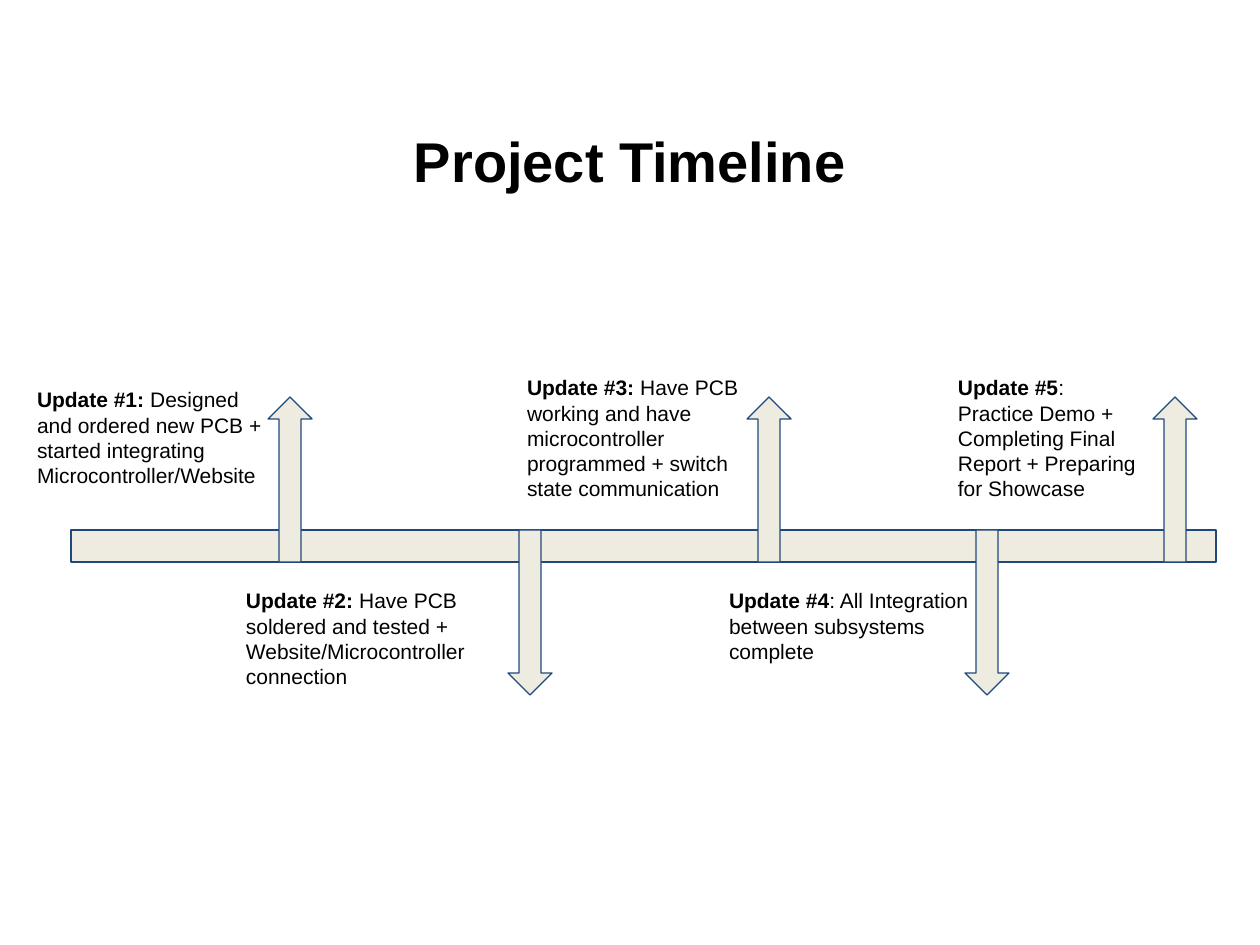
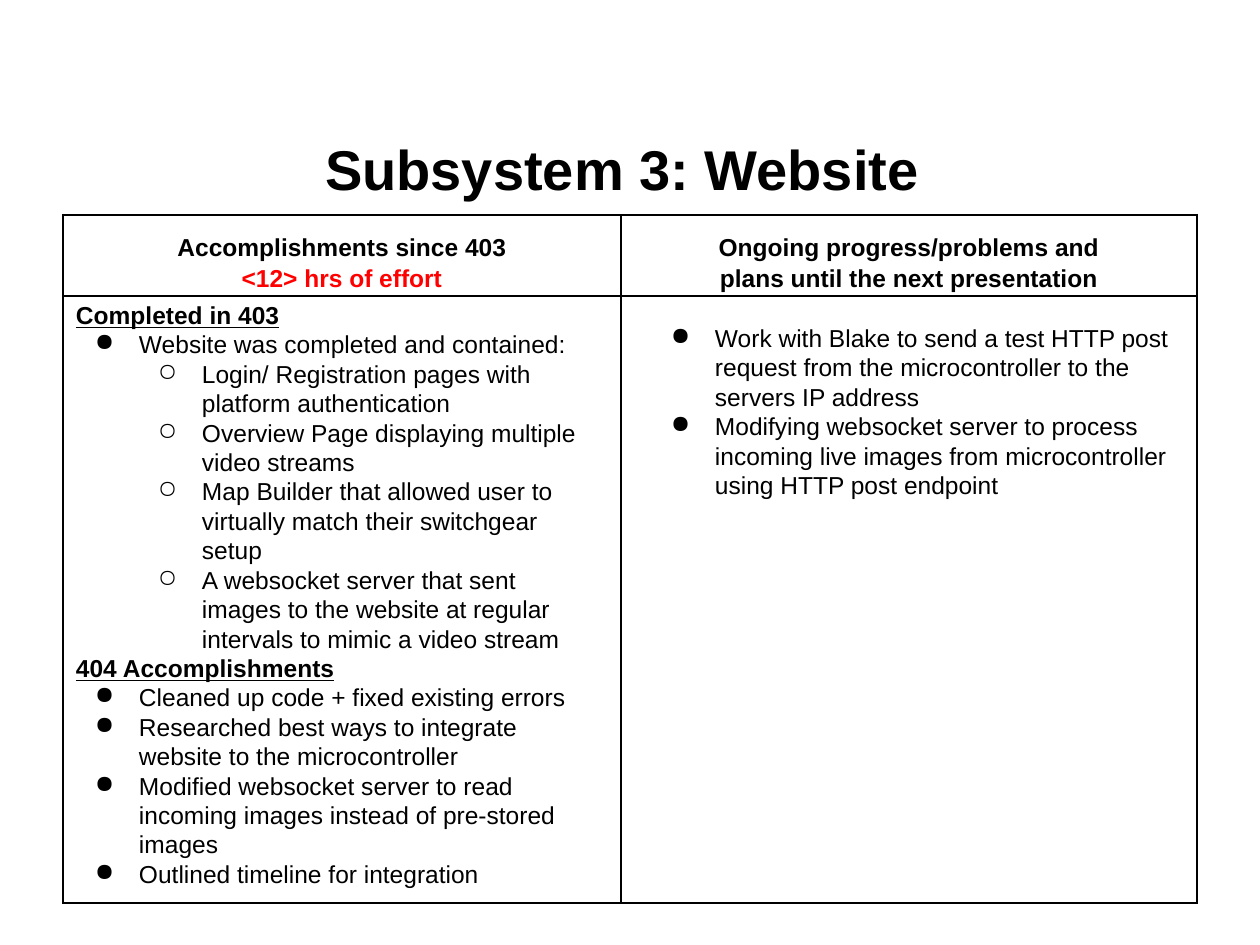
"""Build a project timeline slide and a subsystem status slide."""
from dataclasses import dataclass

from lxml import etree
from pptx import Presentation
from pptx import util as u
from pptx.dml.color import RGBColor
from pptx.enum import shapes, text
from pptx.oxml.ns import qn


@dataclass(frozen=True)
class Theme:
    font: str = "Arial"
    ink: str = "000000"
    effort: str = "FF0000"
    fill: str = "EEECE1"
    outline: str = "1F497D"
    title: int = 32
    update: int = 12
    status: int = 14
    outline_width: float = 0.75
    border_width: float = 1.5


THEME = Theme()
SCALE = 914400 / 126
SLIDE = (1260, 945)
TITLE_BOX = (63, 1134, 111)
TITLE_INSETS = (13, 6)
TEXT_INSETS = (13, 13)
CELL_INSETS = (4, 3)
BULLETS = {1: "●", 2: "○"}
LEVEL_STEP, HANG = 63, 44

TIMELINE_TITLE = ("Project Timeline", 105)
BAR = (71, 530, 1145, 32)
ARROW = (44, 165)
UPDATES = [
    {"arrow": 268, "up": True, "box": (24, 374, 260, 155), "text": [
        [("Update #1: ", "b"),
         ("Designed and ordered new PCB + started integrating Microcontroller/Website", "")]]},
    {"arrow": 508, "up": False, "box": (233, 575, 304, 155), "text": [
        [("Update #2: ", "b"),
         ("Have PCB soldered and tested + Website/Microcontroller connection", "")]]},
    {"arrow": 747, "up": True, "box": (514, 362, 260, 155), "text": [
        [("Update #3: ", "b"),
         ("Have PCB working and have microcontroller programmed + switch state communication", "")]]},
    {"arrow": 965, "up": False, "box": (716, 575, 294, 155), "text": [
        [("Update #4", "b"), (": All Integration between subsystems complete", "")]]},
    {"arrow": 1153, "up": True, "box": (945, 362, 226, 155), "text": [
        [("Update #5", "b"), (":", "")],
        [("Practice Demo + Completing Final Report + Preparing for Showcase", "")]]},
]

WEBSITE_TITLE = ("Subsystem 3: Website ", 113)
GRID = {"origin": (63, 215), "columns": (558, 576), "rows": (81, 607)}
HEADINGS = [
    [("Accomplishments since 403", "b"), ("<12> hrs of effort", "be")],
    [("Ongoing progress/problems and", "b"), ("plans until the next presentation", "b")],
]
STATUS = [
    ((63, 287, 536, 616), [
        (0, "Completed in 403"),
        (1, "Website was completed and contained:"),
        (2, "Login/ Registration pages with platform authentication"),
        (2, "Overview Page displaying multiple video streams"),
        (2, "Map Builder that allowed user to virtually match their switchgear setup"),
        (2, "A websocket server that sent images to the website at regular intervals "
            "to mimic a video stream"),
        (0, "404 Accomplishments"),
        (1, "Cleaned up code + fixed existing errors"),
        (1, "Researched best ways to integrate website to the microcontroller"),
        (1, "Modified websocket server to read incoming images instead of pre-stored images"),
        (1, "Outlined timeline for integration"),
    ]),
    ((639, 310, 546, 581), [
        (1, "Work with Blake to send a test HTTP post request from the microcontroller "
            "to the servers IP address"),
        (1, "Modifying websocket server to process incoming live images from "
            "microcontroller using HTTP post endpoint"),
    ]),
]


def px(*lengths):
    return [u.Emu(round(length * SCALE)) for length in lengths]


def inset(holder, insets):
    across, down = px(*insets)
    holder.margin_left = holder.margin_right = across
    holder.margin_top = holder.margin_bottom = down


def write(paragraph, words, flags, size):
    run = paragraph.add_run()
    run.text = words
    font = run.font
    font.name, font.size = THEME.font, u.Pt(size)
    font.bold, font.underline = "b" in flags, "u" in flags
    font.color.rgb = RGBColor.from_string(THEME.effort if "e" in flags else THEME.ink)


def paragraphs(frame, count):
    return [frame.paragraphs[0]] + [frame.add_paragraph() for _ in range(count - 1)]


def add_solid(parent, tag, colour):
    color = etree.SubElement(etree.SubElement(parent, qn(tag)), qn("a:srgbClr"))
    color.set("val", colour)


def bullet(paragraph, level):
    props = paragraph._p.get_or_add_pPr()
    margin, hang = px(level * LEVEL_STEP, -HANG)
    props.set("marL", str(margin))
    props.set("indent", str(hang))
    etree.SubElement(etree.SubElement(props, qn("a:buClr")), qn("a:srgbClr")).set("val", THEME.ink)
    etree.SubElement(props, qn("a:buChar")).set("char", BULLETS[level])


def add_frame(slide, box, insets=TEXT_INSETS):
    frame = slide.shapes.add_textbox(*px(*box)).text_frame
    frame.word_wrap = True
    inset(frame, insets)
    return frame


def add_title(slide, title):
    words, top = title
    left, width, height = TITLE_BOX
    frame = add_frame(slide, (left, top, width, height), TITLE_INSETS)
    frame.vertical_anchor = text.MSO_ANCHOR.MIDDLE
    heading = frame.paragraphs[0]
    heading.alignment = text.PP_ALIGN.CENTER
    write(heading, words, "b", THEME.title)


def add_block(slide, kind, box):
    block = slide.shapes.add_shape(kind, *px(*box))
    block.shadow.inherit = False
    block.fill.solid()
    block.fill.fore_color.rgb = RGBColor.from_string(THEME.fill)
    block.line.color.rgb = RGBColor.from_string(THEME.outline)
    block.line.width = u.Pt(THEME.outline_width)
    return block


def add_borders(cell):
    props = cell._tc.get_or_add_tcPr()
    for place, side in enumerate(("a:lnL", "a:lnR", "a:lnT", "a:lnB")):
        border = etree.Element(qn(side), w=str(u.Pt(THEME.border_width)))
        add_solid(border, "a:solidFill", THEME.ink)
        props.insert(place, border)


def build_timeline(slide):
    add_title(slide, TIMELINE_TITLE)
    add_block(slide, shapes.MSO_SHAPE.RECTANGLE, BAR)
    bar_top, bar_bottom = BAR[1], BAR[1] + BAR[3]
    width, height = ARROW
    for update in UPDATES:
        top = bar_bottom - height if update["up"] else bar_top
        arrow = add_block(slide, shapes.MSO_SHAPE.UP_ARROW, (update["arrow"], top, width, height))
        arrow.rotation = 0 if update["up"] else 180
    for update in UPDATES:
        frame = add_frame(slide, update["box"])
        for paragraph, runs in zip(paragraphs(frame, len(update["text"])), update["text"]):
            for words, flags in runs:
                write(paragraph, words, flags, THEME.update)


def build_website(slide):
    add_title(slide, WEBSITE_TITLE)
    columns, rows = GRID["columns"], GRID["rows"]
    box = (*GRID["origin"], sum(columns), sum(rows))
    grid = slide.shapes.add_table(len(rows), len(columns), *px(*box)).table
    grid.first_row = grid.horz_banding = False
    for column, width in zip(grid.columns, px(*columns)):
        column.width = width
    for row, height in zip(grid.rows, px(*rows)):
        row.height = height
    for cell in grid.iter_cells():
        cell.fill.background()
        inset(cell, CELL_INSETS)
        add_borders(cell)
    for cell, lines in zip(grid.rows[0].cells, HEADINGS):
        cell.vertical_anchor = text.MSO_ANCHOR.BOTTOM
        for paragraph, (words, flags) in zip(paragraphs(cell.text_frame, len(lines)), lines):
            paragraph.alignment = text.PP_ALIGN.CENTER
            paragraph.line_spacing = 1.15
            write(paragraph, words, flags, THEME.status)
    for box, items in STATUS:
        frame = add_frame(slide, box)
        for paragraph, (level, words) in zip(paragraphs(frame, len(items)), items):
            if level:
                paragraph.level = level - 1
                bullet(paragraph, level)
            write(paragraph, words, "" if level else "bu", THEME.status)


def main():
    deck = Presentation()
    deck.slide_width, deck.slide_height = px(*SLIDE)
    for build in (build_timeline, build_website):
        build(deck.slides.add_slide(deck.slide_layouts[6]))
    deck.save("out.pptx")


if __name__ == "__main__":
    main()
